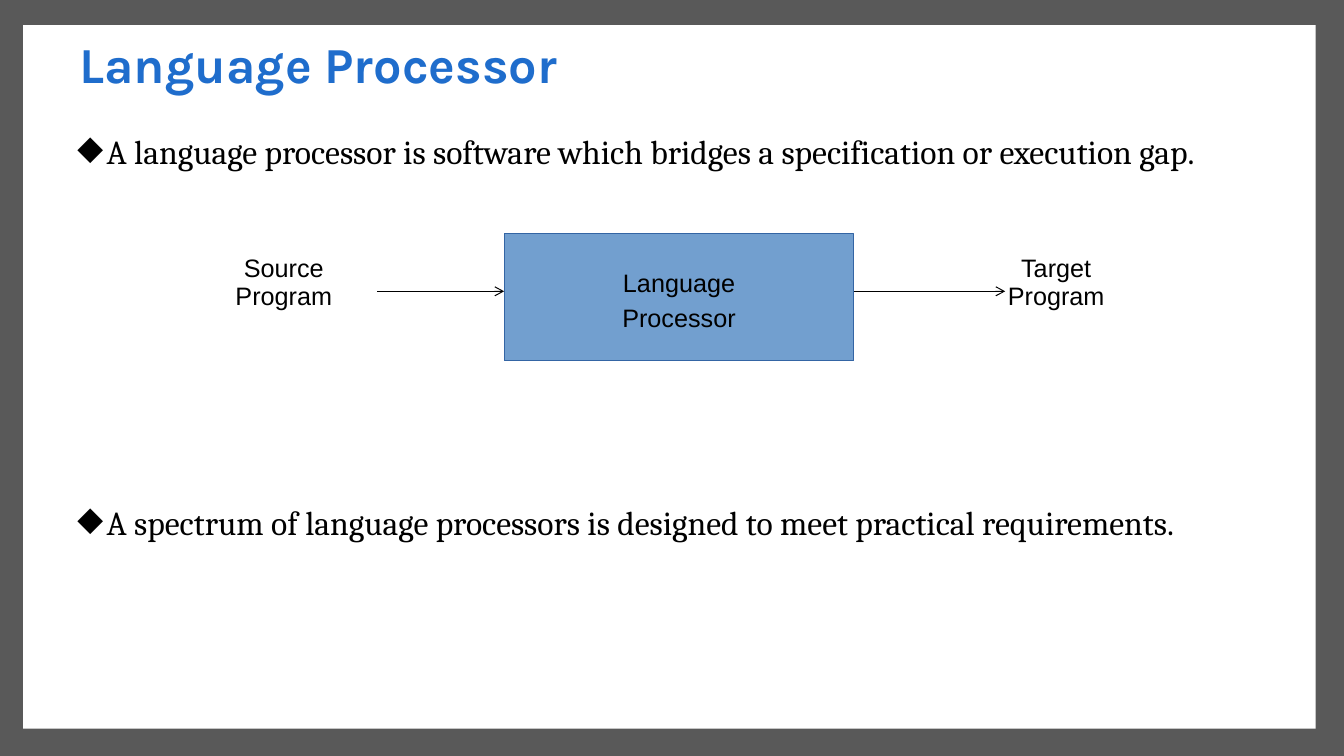
"""Builds the Language Processor slide with its source-to-target diagram."""
from dataclasses import dataclass

from lxml import etree
from pptx import Presentation
from pptx import util as u
from pptx.dml.color import RGBColor
from pptx.enum import shapes, text
from pptx.oxml import ns


@dataclass(frozen=True)
class Theme:
    frame: str = "595959"
    page: str = "FFFFFF"
    heading: str = "1F6DCC"
    ink: str = "000000"
    box: str = "729FCF"
    box_edge: str = "3465A4"
    heading_font: str = "Karla"
    body_font: str = "Cambria"
    label_font: str = "Arial"
    heading_size: int = 36
    body_size: int = 24
    label_size: int = 18
    line_width: float = 0.74


class SlideBuilder:
    def __init__(self, slide, theme):
        self.slide = slide
        self.theme = theme

    def rectangle(self, area, fill, edge=None):
        panel = self.slide.shapes.add_shape(
            shapes.MSO_SHAPE.RECTANGLE, *map(u.Inches, area))
        panel.shadow.inherit = False
        panel.fill.solid()
        panel.fill.fore_color.rgb = RGBColor.from_string(fill)
        if edge:
            self.stroke(panel.line, edge)
        else:
            panel.line.fill.background()
        return panel

    def stroke(self, line, color):
        line.color.rgb = RGBColor.from_string(color)
        line.width = u.Pt(self.theme.line_width)

    def fill_text(self, frame, wording, font, size, color=None, bold=False,
                  align=text.PP_ALIGN.LEFT, spacing=1.0):
        frame.word_wrap = True
        frame.text = wording
        for paragraph in frame.paragraphs:
            paragraph.alignment = align
            paragraph.line_spacing = spacing
            for run in paragraph.runs:
                run.font.name = font
                run.font.size = u.Pt(size)
                run.font.bold = bold
                run.font.color.rgb = RGBColor.from_string(color or self.theme.ink)

    def textbox(self, area, wording, font, size, **style):
        frame = self.slide.shapes.add_textbox(*map(u.Inches, area)).text_frame
        self.fill_text(frame, wording, font, size, **style)
        return frame

    def label(self, area, wording):
        self.textbox(area, wording, self.theme.label_font, self.theme.label_size,
                     align=text.PP_ALIGN.CENTER, spacing=0.93)

    def process(self, area, wording):
        panel = self.rectangle(area, self.theme.box, self.theme.box_edge)
        self.fill_text(panel.text_frame, wording, self.theme.label_font,
                       self.theme.label_size, align=text.PP_ALIGN.CENTER, spacing=1.15)
        panel.text_frame.vertical_anchor = text.MSO_ANCHOR.MIDDLE

    def bullets(self, area, points, gap):
        frame = self.textbox(area, "\n".join(points), self.theme.body_font,
                             self.theme.body_size, spacing=1.15)
        for paragraph in frame.paragraphs:
            properties = paragraph._p.get_or_add_pPr()
            properties.set("marL", str(u.Inches(0.33)))
            properties.set("indent", str(u.Inches(-0.29)))
            tint = etree.SubElement(properties, ns.qn("a:buClr"))
            etree.SubElement(tint, ns.qn("a:srgbClr"), val=self.theme.ink)
            etree.SubElement(properties, ns.qn("a:buChar"), char="◆")
        for paragraph in frame.paragraphs[1:]:
            paragraph.space_before = u.Pt(gap)

    def arrow(self, start, end, level):
        flow = self.slide.shapes.add_connector(
            shapes.MSO_CONNECTOR.STRAIGHT, *map(u.Inches, (start, level, end, level)))
        self.stroke(flow.line, self.theme.ink)
        outline = flow._element.spPr.find(ns.qn("a:ln"))
        etree.SubElement(outline, ns.qn("a:tailEnd"), type="arrow")
        etree.SubElement(flow._element.spPr, ns.qn("a:effectLst"))


deck = Presentation()
deck.slide_width, deck.slide_height = u.Inches(13.33), u.Inches(7.5)
theme = Theme()
page = SlideBuilder(deck.slides.add_slide(deck.slide_layouts[6]), theme)

page.rectangle((0, 0, 13.33, 7.5), theme.frame)
page.rectangle((0.23, 0.25, 12.82, 6.98), theme.page)
page.textbox((0.69, 0.28, 11.67, 0.71), "Language Processor", theme.heading_font,
             theme.heading_size, color=theme.heading, bold=True)

page.process((5, 2.32, 3.47, 1.26), "Language\nProcessor")
for left, program in ((1.91, "Source Program"), (9.57, "Target Program")):
    page.label((left, 2.48, 1.81, 0.68), program)
for start, end in ((3.74, 5), (8.47, 9.97)):
    page.arrow(start, end, 2.89)

page.bullets((0.63, 1.19, 12.12, 5.6), (
    "A language processor is software which bridges a specification or execution gap.",
    "A spectrum of language processors is designed to meet practical requirements.",
), gap=232)

deck.save("out.pptx")
